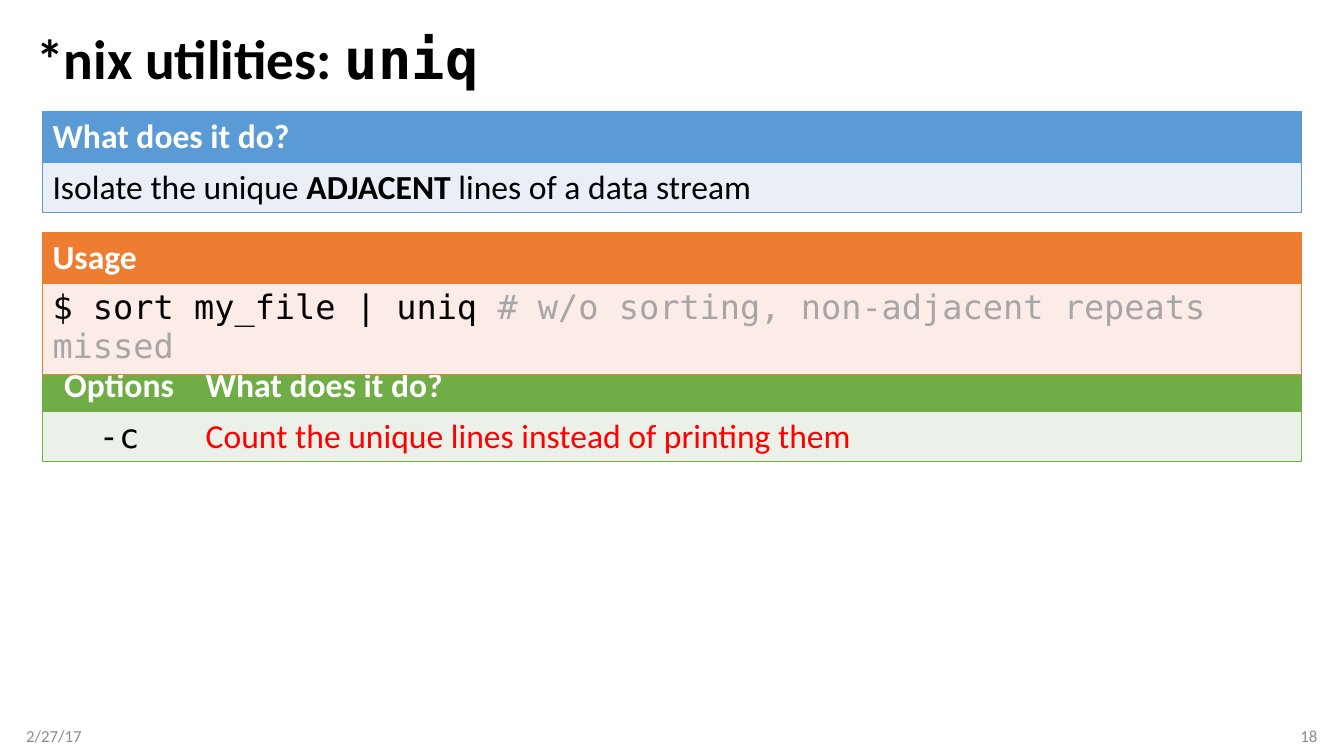
from lxml import etree
from pptx import Presentation
from pptx.dml.color import RGBColor
from pptx.enum.text import MSO_ANCHOR, MSO_AUTO_SIZE, PP_ALIGN
from pptx.oxml.ns import qn
from pptx.util import Cm, Pt

MIDDLE = MSO_ANCHOR.MIDDLE
TOP = MSO_ANCHOR.TOP
FIXED = MSO_AUTO_SIZE.NONE
LEFT = PP_ALIGN.LEFT
CENTER = PP_ALIGN.CENTER
RIGHT = PP_ALIGN.RIGHT

SANS = "Calibri"
MONO = "DejaVu Sans Mono"
HUES = {
    "black": "000000", "white": "FFFFFF", "gray": "8C8C8C",
    "note": "A6A6A6", "red": "FF0000",
    "blue": "5B9BD5", "pale blue": "EAEFF7",
    "orange": "ED7D31", "pale orange": "FCECE8",
    "green": "70AD47", "pale green": "EBF1E9",
}


class Deck:
    def __init__(self):
        self.show = Presentation()
        self.show.slide_width = Cm(33.87)
        self.show.slide_height = Cm(19.05)
        self.slide = self.show.slides.add_slide(self.show.slide_layouts[5])

    def hue(self, name):
        return RGBColor.from_string(HUES[name])

    def text(self, para, runs, size, align=LEFT):
        para.alignment = align
        for words, font, color, bold in runs:
            run = para.add_run()
            run.text = words
            run.font.name = font
            run.font.size = Pt(size)
            run.font.bold = bold
            run.font.color.rgb = self.hue(color)

    def title(self, runs):
        shape = self.slide.shapes.title
        shape.left, shape.top = Cm(0.66), Cm(0.64)
        shape.width, shape.height = Cm(32.54), Cm(1.83)
        frame = shape.text_frame
        frame.auto_size = FIXED
        frame.vertical_anchor = MIDDLE
        para = frame.paragraphs[0]
        para.line_spacing = 0.9
        self.text(para, runs, 39.6)

    def label(self, words, left, align):
        box = self.slide.shapes.add_textbox(
            Cm(left), Cm(18.03), Cm(7.62), Cm(1.02))
        frame = box.text_frame
        frame.word_wrap = True
        frame.vertical_anchor = MIDDLE
        if align == LEFT:
            frame.margin_left = 0
        else:
            frame.margin_right = 0
        self.text(frame.paragraphs[0], [(words, SANS, "gray", False)], 12, align)

    def edge(self, cell, side, color):
        props = cell._tc.get_or_add_tcPr()
        line = etree.SubElement(props, qn("a:ln" + side), w=str(Pt(1)))
        if color:
            fill = etree.SubElement(line, qn("a:solidFill"))
            etree.SubElement(fill, qn("a:srgbClr"), val=HUES[color])
        else:
            etree.SubElement(line, qn("a:noFill"))

    def table(self, top, color, widths, rows, anchor=TOP):
        last = len(widths) - 1
        table = self.slide.shapes.add_table(
            len(rows), len(widths), Cm(1.07), Cm(top),
            Cm(sum(widths)), Cm(2.08)).table
        table.first_row = table.horz_banding = False
        for column, width in zip(table.columns, widths):
            column.width = Cm(width)
        for r, row in enumerate(rows):
            table.rows[r].height = Cm(1.04)
            for c, runs in enumerate(row):
                cell = table.cell(r, c)
                self.edge(cell, "L", color if c == 0 else None)
                self.edge(cell, "R", color if c == last else None)
                self.edge(cell, "T", color)
                self.edge(cell, "B", color)
                cell.fill.solid()
                cell.fill.fore_color.rgb = self.hue(
                    "pale " + color if r else color)
                cell.vertical_anchor = anchor
                align = CENTER if c < last else LEFT
                self.text(cell.text_frame.paragraphs[0], runs, 24, align)


def head(words):
    return [(words, SANS, "white", True)]


def main():
    deck = Deck()
    deck.title([("*nix utilities: ", SANS, "black", True),
                ("uniq", MONO, "black", True)])
    deck.label("2/27/17", 0.66, LEFT)
    deck.label("18", 25.58, RIGHT)
    deck.table(2.82, "blue", [31.72], [
        [head("What does it do?")],
        [[("Isolate the unique ", SANS, "black", False),
          ("ADJACENT", SANS, "black", True),
          (" lines of a data stream", SANS, "black", False)]],
    ])
    deck.table(9.09, "green", [3.86, 27.86], [
        [head("Options"), head("What does it do?")],
        [[("-c", MONO, "black", False)],
         [("Count the unique lines instead of printing them",
           SANS, "red", False)]],
    ], MIDDLE)
    deck.table(5.87, "orange", [31.72], [
        [head("Usage")],
        [[("$ sort my_file | uniq ", MONO, "black", False),
          ("# w/o sorting, non-adjacent repeats missed",
           MONO, "note", False)]],
    ])
    deck.show.save("out.pptx")


if __name__ == "__main__":
    main()
